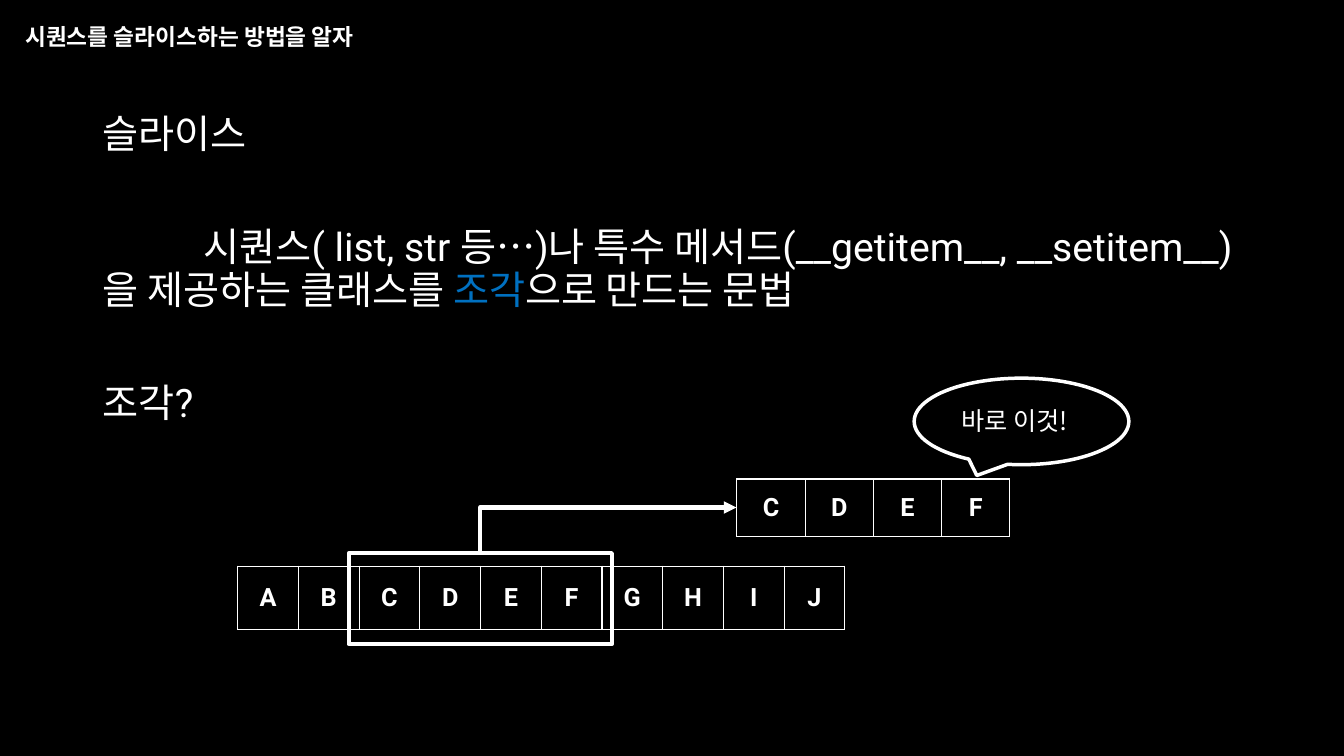
from lxml.etree import SubElement
from pptx import Presentation
from pptx.dml.color import RGBColor
from pptx.enum.shapes import MSO_CONNECTOR, MSO_SHAPE
from pptx.enum.text import MSO_ANCHOR, PP_ALIGN
from pptx.oxml import parse_xml
from pptx.oxml.ns import nsdecls, qn
from pptx.util import Cm, Pt

WHITE = RGBColor(0xFF, 0xFF, 0xFF)
BLACK = RGBColor(0, 0, 0)
BLUE = RGBColor(0x00, 0x70, 0xC0)
HANGUL = "Noto Sans CJK KR"
LATIN = "Roboto"


def style(para, size, name=HANGUL, bold=False, align=PP_ALIGN.LEFT):
    para.alignment = align
    font = para.font
    font.size = Pt(size)
    font.bold = bold
    font.color.rgb = WHITE
    font.name = name
    props = para._p.get_or_add_pPr().find(qn("a:defRPr"))
    SubElement(props, qn("a:ea")).set("typeface", HANGUL)


def add_title(slide, text):
    title = slide.shapes.title
    title.left, title.top, title.width, title.height = Cm(0.38), Cm(0.51), Cm(29.21), Cm(0.91)
    frame = title.text_frame
    frame.text = text
    frame.vertical_anchor = MSO_ANCHOR.MIDDLE
    para = frame.paragraphs[0]
    para.line_spacing = 0.9
    style(para, 16.2, bold=True)


def add_box(slide, left, top, width, height):
    frame = slide.shapes.add_textbox(Cm(left), Cm(top), Cm(width), Cm(height)).text_frame
    frame.word_wrap = True
    return frame


def add_body(slide):
    frame = add_box(slide, 2.34, 2.75, 29.21, 9)
    lines = [
        [("슬라이스", WHITE)],
        [
            ("시퀀스( list, str 등…)나 특수 메서드(__getitem__, __setitem__) 을 제공하는 클래스를 ", WHITE),
            ("조각", BLUE),
            ("으로 만드는 문법", WHITE),
        ],
        [("조각?", WHITE)],
    ]
    for i, parts in enumerate(lines):
        para = frame.add_paragraph() if i else frame.paragraphs[0]
        para.line_spacing = Pt(30.4)
        para.space_before = Pt(50.3 if i else 0)
        style(para, 28, LATIN)
        for text, color in parts:
            run = para.add_run()
            run.text = text
            if color != WHITE:
                run.font.color.rgb = color
    frame.paragraphs[1]._p.get_or_add_pPr().set("indent", str(Cm(2.54)))


def add_border(cell):
    props = cell._tc.get_or_add_tcPr()
    for i, side in enumerate(("lnL", "lnR", "lnT", "lnB")):
        line = parse_xml(
            f'<a:{side} {nsdecls("a")} w="{Pt(1)}"><a:solidFill>'
            f'<a:srgbClr val="{WHITE}"/></a:solidFill></a:{side}>'
        )
        props.insert(i, line)


def add_cells(slide, letters, left, top, width, height):
    count = len(letters)
    table = slide.shapes.add_table(
        1, count, Cm(left), Cm(top), Cm(width * count), Cm(height)
    ).table
    table.first_row = table.horz_banding = False
    for cell, letter in zip(table.iter_cells(), letters):
        cell.text = letter
        cell.vertical_anchor = MSO_ANCHOR.MIDDLE
        cell.fill.background()
        add_border(cell)
        style(cell.text_frame.paragraphs[0], 18, LATIN, True, PP_ALIGN.CENTER)


def add_frame(slide, kind, left, top, width, height, weight):
    shape = slide.shapes.add_shape(kind, Cm(left), Cm(top), Cm(width), Cm(height))
    shape.shadow.inherit = False
    shape.fill.background()
    shape.line.color.rgb = WHITE
    shape.line.width = Pt(weight)


def add_arrow(slide):
    arrow = slide.shapes.add_connector(
        MSO_CONNECTOR.ELBOW, Cm(15.9), Cm(16.59), Cm(14.76), Cm(10.13)
    )
    arrow.line.color.rgb = WHITE
    arrow.line.width = Pt(3)
    props = arrow._element.spPr
    props.find(qn("a:xfrm")).set("rot", "5400000")
    props.find(qn("a:prstGeom")).set("prst", "bentConnector2")
    SubElement(props.find(qn("a:ln")), qn("a:tailEnd")).set("type", "triangle")
    SubElement(props, qn("a:effectLst"))


def add_note(slide, text):
    para = add_box(slide, 23.98, 10.08, 3.51, 1.02).paragraphs[0]
    para.text = text
    style(para, 18)


def main():
    deck = Presentation()
    deck.slide_width, deck.slide_height = Cm(33.87), Cm(19.05)
    slide = deck.slides.add_slide(deck.slide_layouts[5])
    fill = slide.background.fill
    fill.solid()
    fill.fore_color.rgb = BLACK
    add_title(slide, "시퀀스를 슬라이스하는 방법을 알자")
    add_body(slide)
    add_cells(slide, "ABCDEFGHIJ", 5.99, 14.27, 1.53, 1.6)
    add_cells(slide, "CDEF", 18.57, 12.07, 1.72, 1.45)
    add_frame(slide, MSO_SHAPE.RECTANGLE, 8.79, 13.94, 6.63, 2.29, 3)
    add_arrow(slide)
    add_note(slide, "바로 이것!")
    add_frame(slide, MSO_SHAPE.OVAL_CALLOUT, 23.04, 9.53, 5.41, 2.18, 2.5)
    deck.save("out.pptx")


if __name__ == "__main__":
    main()
